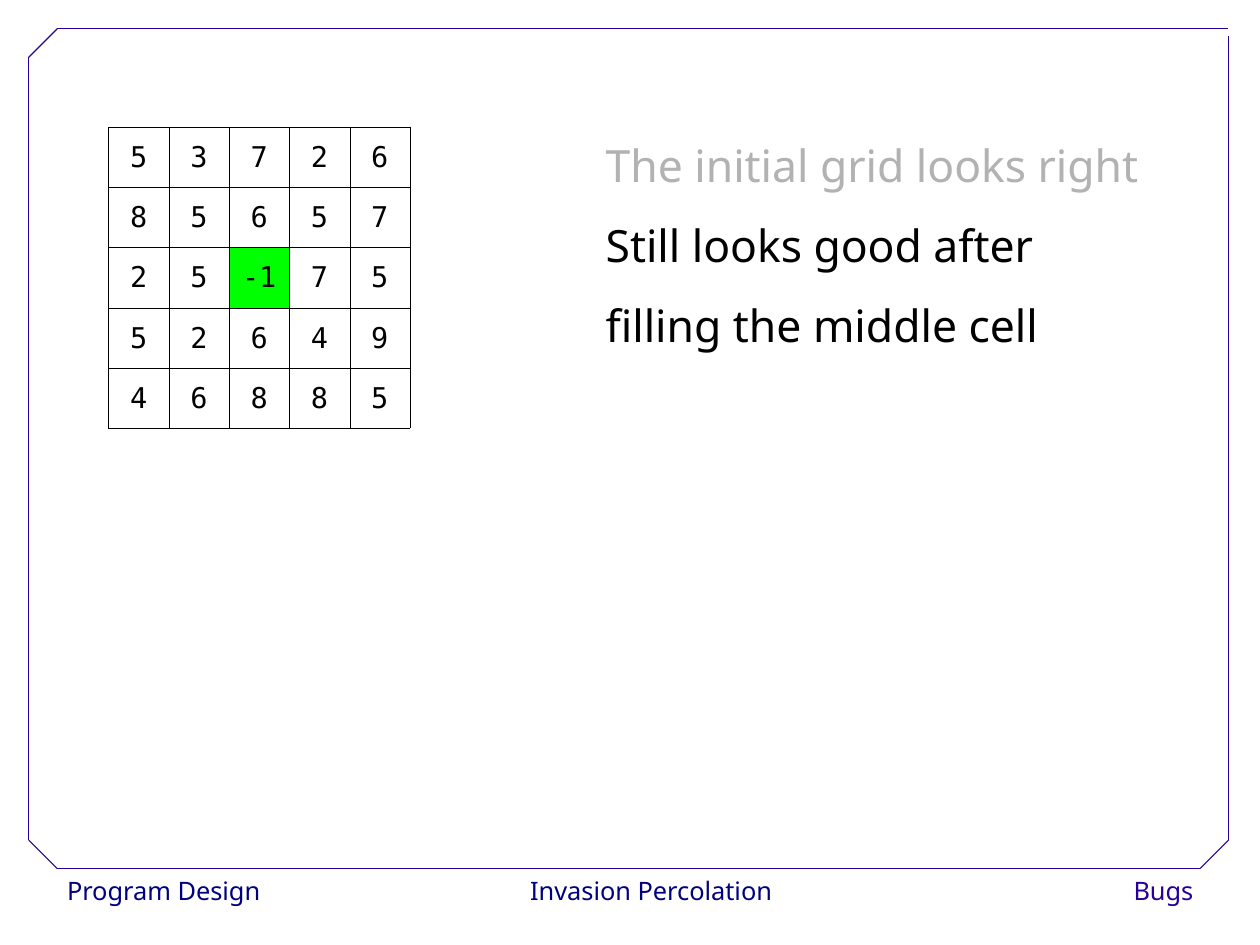
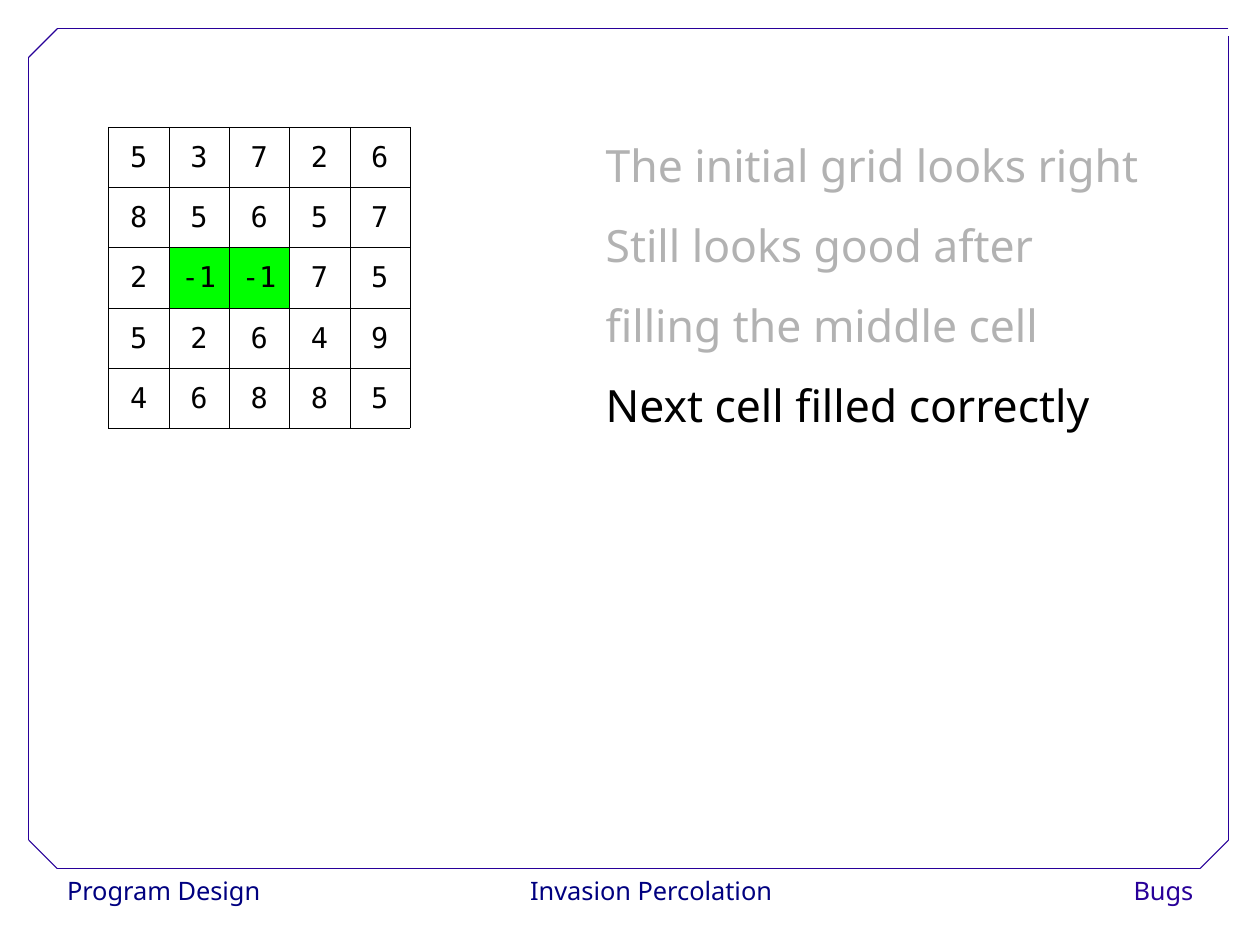
import itertools

import pptx
import pptx.dml.color
import pptx.enum.shapes
import pptx.enum.text
import pptx.oxml
import pptx.oxml.ns
import pptx.util
from pptx.util import Cm, Pt

COLOURS = {
    "frame": "280099",
    "footer": "000080",
    "text": "000000",
    "faded": "B2B2B2",
    "filled": "00FF00",
    "empty": "FFFFFF",
}
BODY_FONT = "Noto Sans"
GRID_FONT = "DejaVu Sans Mono"
ALIGN = pptx.enum.text.PP_ALIGN

# Corners of the open outline, in cm
FRAME_POINTS = [
    (27.3, 0.64), (1.27, 0.64), (0.64, 1.27), (0.64, 18.67),
    (1.27, 19.3), (26.67, 19.3), (27.3, 18.67), (27.3, 0.81),
]
FOOTER_WIDTH = 7
# Text, left, alignment, colour
FOOTERS = [
    ("Program Design", 1.24, ALIGN.LEFT, "footer"),
    ("Invasion Percolation", 10.97, ALIGN.CENTER, "footer"),
    ("Bugs", 19.77, ALIGN.RIGHT, "frame"),
]
START_GRID = ["53726", "85657", "25675", "52649", "46885"]
CELL_SIZE = 1.34
FILLED_VALUE = "-1"
REMARKS = [
    "The initial grid looks right",
    "Still looks good after filling the middle cell",
    "Next cell filled correctly",
]
# Filled cells (row, column), number of remarks, height of the remarks box
STEPS = [
    ({(2, 2)}, 2, 5.59),
    ({(2, 1), (2, 2)}, 3, 7.37),
]


def rgb(name):
    return pptx.dml.color.RGBColor.from_string(COLOURS[name])


def write(para, text, size, colour="text", font=BODY_FONT,
          align=ALIGN.LEFT, spacing=1.02):
    para.alignment = align
    para.line_spacing = spacing
    span = para.add_run()
    span.text = text
    span.font.name = font
    span.font.size = Pt(size)
    span.font.color.rgb = rgb(colour)


def add_line(page, start, end):
    line = page.shapes.add_connector(
        pptx.enum.shapes.MSO_CONNECTOR.STRAIGHT,
        *(Cm(length) for length in start + end))
    line.line.color.rgb = rgb("frame")
    line.line.width = Pt(0.75)
    properties = line.element.find(pptx.oxml.ns.qn("p:spPr"))
    properties.append(pptx.oxml.parse_xml(
        f'<a:effectLst {pptx.oxml.ns.nsdecls("a")}/>'))


def add_footer(page, text, left, align, colour):
    box = page.shapes.add_textbox(
        Cm(left), Cm(19.3), Cm(FOOTER_WIDTH), Cm(1.02))
    box.text_frame.word_wrap = True
    write(box.text_frame.paragraphs[0], text, 16, colour=colour, align=align)


def share_frame(page):
    """Draw the outline and footers, then move them to the page's layout."""
    for footer in FOOTERS:
        add_footer(page, *footer)
    for start, end in itertools.pairwise(FRAME_POINTS):
        add_line(page, start, end)
    layout = page.slide_layout
    for placeholder in list(layout.placeholders):
        layout.shapes.element.remove(placeholder.element)
    for shape in list(page.shapes):
        layout.shapes.element.append(shape.element)


def add_borders(cell):
    properties = cell._tc.get_or_add_tcPr()
    for side in ("lnL", "lnR", "lnT", "lnB"):
        properties.append(pptx.oxml.parse_xml(
            f'<a:{side} {pptx.oxml.ns.nsdecls("a")} w="{Pt(0.06)}"><a:solidFill>'
            f'<a:srgbClr val="{COLOURS["text"]}"/></a:solidFill></a:{side}>'))


def add_grid(page, filled_cells):
    count = len(START_GRID)
    side = Cm(CELL_SIZE * count)
    table = page.shapes.add_table(
        count, count, Cm(2.41), Cm(2.82), side, side).table
    table.first_row = table.horz_banding = False
    for row, column in itertools.product(range(count), repeat=2):
        filled = (row, column) in filled_cells
        cell = table.cell(row, column)
        cell.vertical_anchor = pptx.enum.text.MSO_ANCHOR.MIDDLE
        add_borders(cell)
        cell.fill.solid()
        cell.fill.fore_color.rgb = rgb("filled" if filled else "empty")
        write(cell.text_frame.paragraphs[0],
              FILLED_VALUE if filled else START_GRID[row][column],
              18, font=GRID_FONT, align=ALIGN.CENTER)


def add_remarks(page, remarks, height):
    """List the remarks, with all but the latest one faded."""
    box = page.shapes.add_textbox(Cm(13.21), Cm(2.34), Cm(12.4), Cm(height))
    frame = box.text_frame
    frame.word_wrap = True
    frame.auto_size = pptx.enum.text.MSO_AUTO_SIZE.SHAPE_TO_FIT_TEXT
    for index, remark in enumerate(remarks):
        para = frame.add_paragraph() if index else frame.paragraphs[0]
        latest = index == len(remarks) - 1
        write(para, remark, 28, colour="text" if latest else "faded",
              spacing=1.5)


def main():
    deck = pptx.Presentation()
    deck.slide_width, deck.slide_height = Cm(28), Cm(21)
    blank_layout = deck.slide_layouts[6]
    for index, (filled_cells, remark_count, height) in enumerate(STEPS):
        page = deck.slides.add_slide(blank_layout)
        if index == 0:
            share_frame(page)
        add_grid(page, filled_cells)
        add_remarks(page, REMARKS[:remark_count], height)
    deck.save("out.pptx")


if __name__ == "__main__":
    main()
